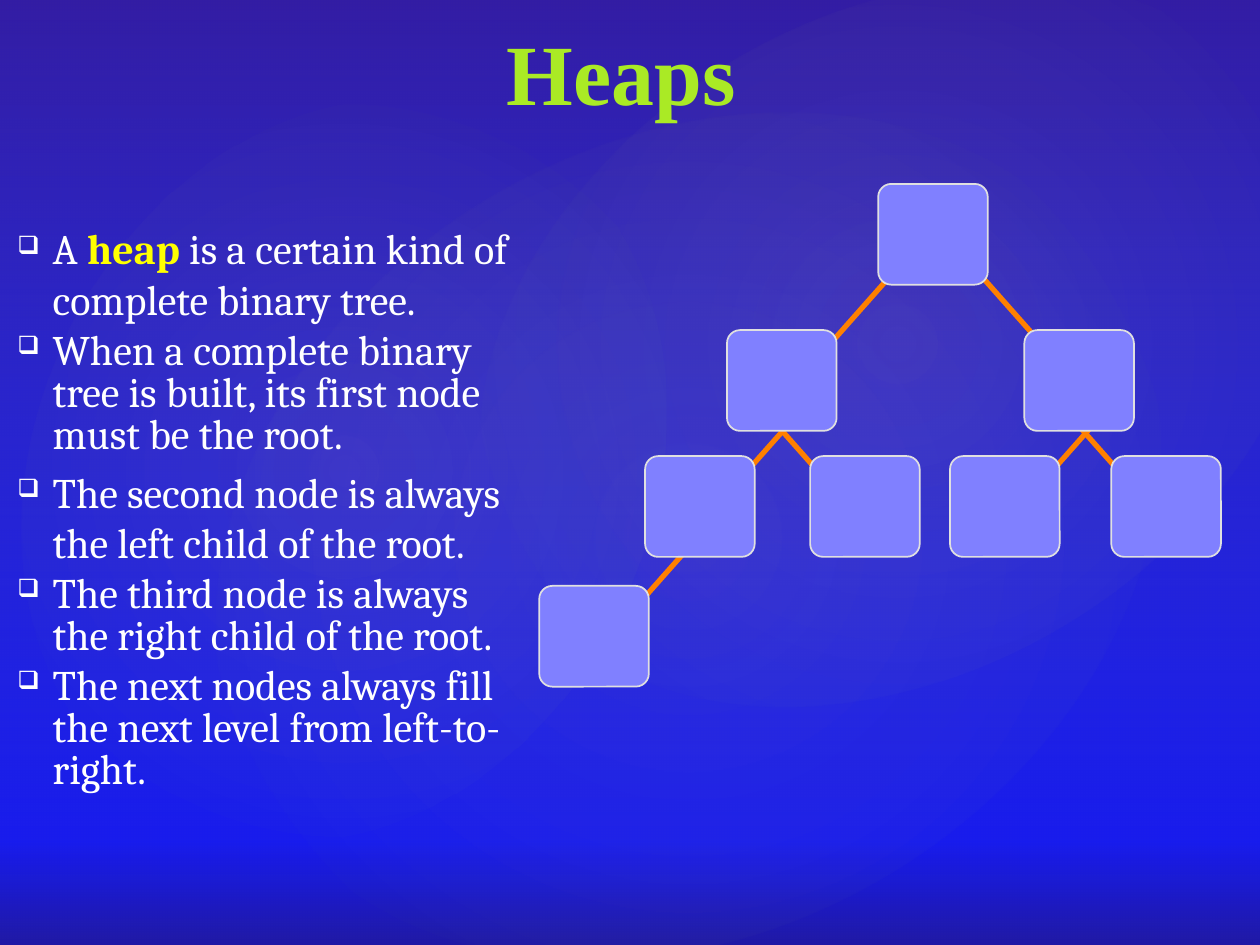
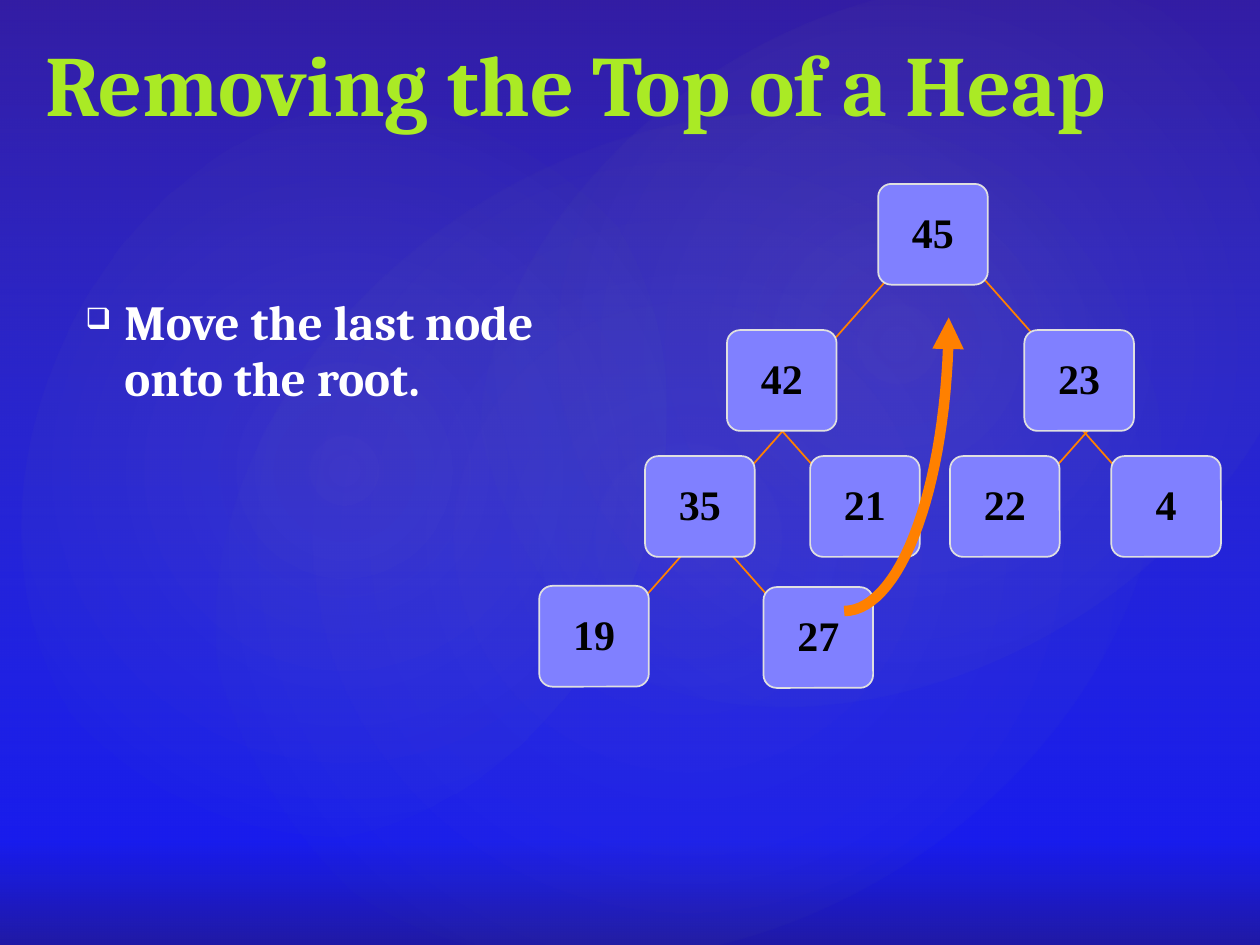
import math

import pptx
import pptx.dml.color
import pptx.enum.shapes
import pptx.enum.text
import pptx.oxml
import pptx.oxml.ns
import pptx.util

RGB = pptx.dml.color.RGBColor
SHAPE = pptx.enum.shapes.MSO_SHAPE
ALIGN = pptx.enum.text.PP_ALIGN
ANCHOR = pptx.enum.text.MSO_ANCHOR
PX = 9144

WHITE = RGB(0xFF, 0xFF, 0xFF)
BLACK = RGB(0x00, 0x00, 0x00)
YELLOW = RGB(0xFF, 0xFF, 0x00)
LIME = RGB(0xAA, 0xEA, 0x25)
ORANGE = RGB(0xFF, 0x80, 0x00)
LILAC = RGB(0x80, 0x80, 0xFF)
SILVER = RGB(0xE0, 0xE0, 0xE0)
BLUE = RGB(0x00, 0x00, 0xFF)
NAVY = RGB(0x0E, 0x02, 0xAA)
BROWN = RGB(0x8F, 0x52, 0x01)
LEAF = RGB(0xCA, 0xF2, 0x78)
PEACH = RGB(0xFE, 0xC6, 0x7A)

SERIF = "Times New Roman"
BODY = "Cambria"

GLOWS = [
    ((150, 114, 792, 624), 328.7, 7),
    ((-30, 128, 606, 490), 294.3, 8),
    ((358, 13, 709, 520), 328.7, 8),
]
NODES = [
    (697, 146),
    (577, 262), (813, 262),
    (512, 362), (643, 362), (754, 362), (882, 362),
    (428, 465), (606, 466),
]
STARTS = [
    (704, 222), (777, 217),
    (639, 322), (603, 322), (881, 322), (842, 322),
    (555, 425), (567, 425),
]


def node(tag, **attrs):
    space = pptx.oxml.ns.nsdecls("a")
    pairs = " ".join(f'{key}="{val}"' for key, val in attrs.items())
    return pptx.oxml.parse_xml(f"<a:{tag} {space} {pairs}/>")


def find(item, tag):
    return item.element.find(".//" + pptx.oxml.ns.qn("a:" + tag))


def blend(item, stops, round_=False):
    item.fill.solid()
    grad = node("gradFill", rotWithShape=1)
    group = node("gsLst")
    for place, color, alpha in stops:
        stop = node("gs", pos=place * 1000)
        tint = node("srgbClr", val=color)
        tint.append(node("alpha", val=alpha * 1000))
        stop.append(tint)
        group.append(stop)
    grad.append(group)
    if round_:
        form = node("path", path="circle")
        form.append(node("fillToRect", l=50000, t=50000, r=50000, b=50000))
    else:
        form = node("lin", ang=5400000, scaled=0)
    grad.append(form)
    old = find(item, "solidFill")
    old.getparent().replace(old, grad)


def write(para, text, font=BODY, size=24, color=WHITE, bold=False,
          align=ALIGN.LEFT, lead=0.95, before=0):
    para.alignment = align
    para.line_spacing = lead
    para.space_before = pptx.util.Pt(before)
    run = para.add_run()
    run.text = text
    run.font.name = font
    run.font.size = pptx.util.Pt(size)
    run.font.color.rgb = color
    run.font.bold = bold


def bullet(para, indent, hang):
    props = para._p.get_or_add_pPr()
    props.set("marL", str(indent * PX))
    props.set("indent", str(-hang * PX))
    tint = node("buClr")
    tint.append(node("srgbClr", val=WHITE))
    props.extend([tint, node("buSzPct", val=60000), node("buChar", char="❑")])


class Deck:
    def __init__(self):
        self.file = pptx.Presentation()
        self.file.slide_width = 1000 * PX
        self.file.slide_height = 750 * PX

    def page(self):
        self.slide = self.file.slides.add_slide(self.file.slide_layouts[6])
        self.shapes = self.slide.shapes
        blend(self.slide.background,
              [(0, BLUE, 100), (89, BLUE, 100), (100, NAVY, 100)])
        veil = self.shape(SHAPE.RECTANGLE, (0, 0, 1000, 750))
        blend(veil, [(0, BROWN, 36), (100, LEAF, 10)])
        for box, turn, alpha in GLOWS:
            glow = self.shape(SHAPE.OVAL, box)
            glow.rotation = turn
            blend(glow, [(0, PEACH, alpha), (58, LEAF, 0), (100, LEAF, 0)], True)

    def shape(self, kind, box):
        shape = self.shapes.add_shape(kind, *(n * PX for n in box))
        shape.shadow.inherit = False
        shape.line.fill.background()
        return shape

    def frame(self, box, anchor):
        frame = self.shapes.add_textbox(*(n * PX for n in box)).text_frame
        frame.word_wrap = True
        frame.vertical_anchor = anchor
        return frame

    def title(self, text, box, **style):
        frame = self.frame(box, ANCHOR.BOTTOM)
        write(frame.paragraphs[0], text, size=49, color=LIME, bold=True, **style)

    def points(self, items, box, indent, hang, **style):
        frame = self.frame(box, ANCHOR.MIDDLE)
        for i, (runs, lead) in enumerate(items):
            para = frame.add_paragraph() if i else frame.paragraphs[0]
            for text, extra in runs:
                write(para, text, lead=lead, **{**style, **extra})
            bullet(para, indent, hang)

    def edge(self, x, y, step, width):
        ends = (x, y, x + step, y + 70)
        line = self.shapes.add_connector(
            pptx.enum.shapes.MSO_CONNECTOR.STRAIGHT, *(n * PX for n in ends))
        line.line.color.rgb = ORANGE
        line.line.width = pptx.util.Pt(width)
        line.element.spPr.append(node("effectLst"))

    def cell(self, x, y, text):
        cell = self.shape(SHAPE.ROUNDED_RECTANGLE, (x, y, 87, 80))
        cell.adjustments[0] = 0.13
        cell.fill.solid()
        cell.fill.fore_color.rgb = LILAC
        cell.line.color.rgb = SILVER
        cell.line.width = pptx.util.Pt(1)
        if text:
            cell.text_frame.vertical_anchor = ANCHOR.MIDDLE
            write(cell.text_frame.paragraphs[0], text, font=SERIF,
                  color=BLACK, bold=True, align=ALIGN.CENTER)

    def tree(self, labels, width):
        for i, (x, y) in enumerate(STARTS[:len(labels) - 1]):
            self.edge(x, y, 62 if i % 2 else -62, width)
        for (x, y), text in zip(NODES, labels):
            self.cell(x, y, text)

    def arc(self, x, y, wide, high, steps=30):
        turns = [math.pi / 2 * i / steps for i in range(steps + 1)]
        dots = [(round((x + wide * math.sin(t)) * PX),
                 round((y + high * math.cos(t)) * PX)) for t in turns]
        build = self.shapes.build_freeform(*dots[0])
        build.add_line_segments(dots[1:], close=False)
        arc = build.convert_to_shape()
        arc.shadow.inherit = False
        arc.fill.background()
        arc.line.color.rgb = ORANGE
        arc.line.width = pptx.util.Pt(6)
        find(arc, "ln").append(node("tailEnd", type="triangle"))


def heaps(deck):
    deck.page()
    deck.title("Heaps", (68, 25, 850, 79), font=SERIF, align=ALIGN.CENTER)
    first = [("A ", {}), ("heap", {"color": YELLOW, "bold": True}),
             (" is a certain kind of complete binary tree.", {})]
    rest = [
        ("When a complete binary tree is built, its first node must be the root.", 0.83),
        ("The second node is always the left child of the root.", 1.0),
        ("The third node is always the right child of the root.", 0.83),
        ("The next nodes always fill the next level from left-to-right.", 0.83),
    ]
    items = [(first, 1.0)] + [([(text, {})], lead) for text, lead in rest]
    deck.points(items, (2, 129, 417, 548), 30, 28, before=4.8)
    deck.tree([""] * 8, 3)


def remove(deck):
    deck.page()
    deck.title("Removing the Top of a Heap", (26, 17, 950, 96))
    deck.points([([("Move the last node onto the root.", {})], 0.95)],
                (58, 146, 414, 267), 31, 31, size=28, bold=True, before=6)
    deck.tree(["45", "42", "23", "35", "21", "22", "4", "19", "27"], 1)
    deck.arc(670, 252, 83, 233)


def main():
    deck = Deck()
    heaps(deck)
    remove(deck)
    deck.file.save("out.pptx")


if __name__ == "__main__":
    main()
